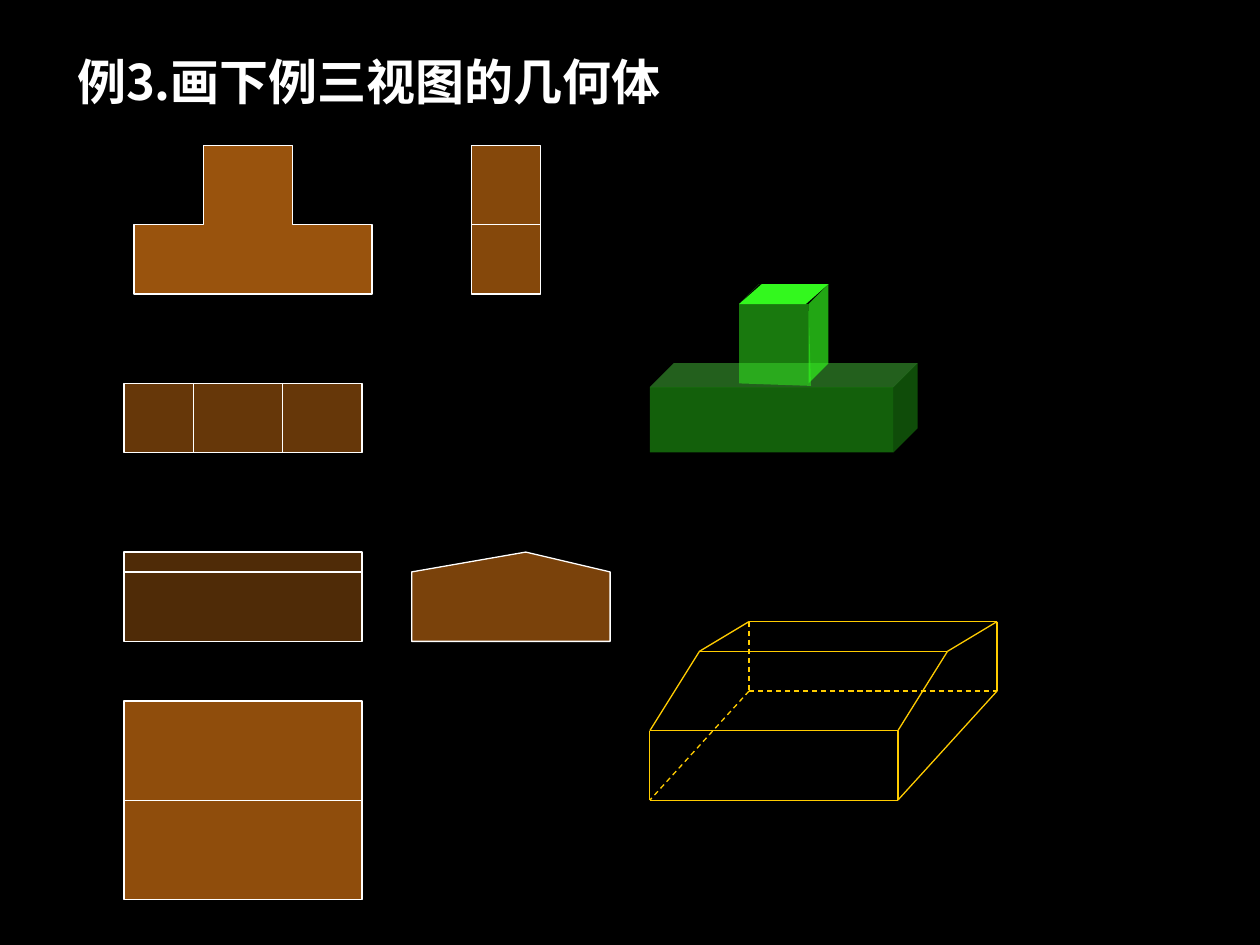
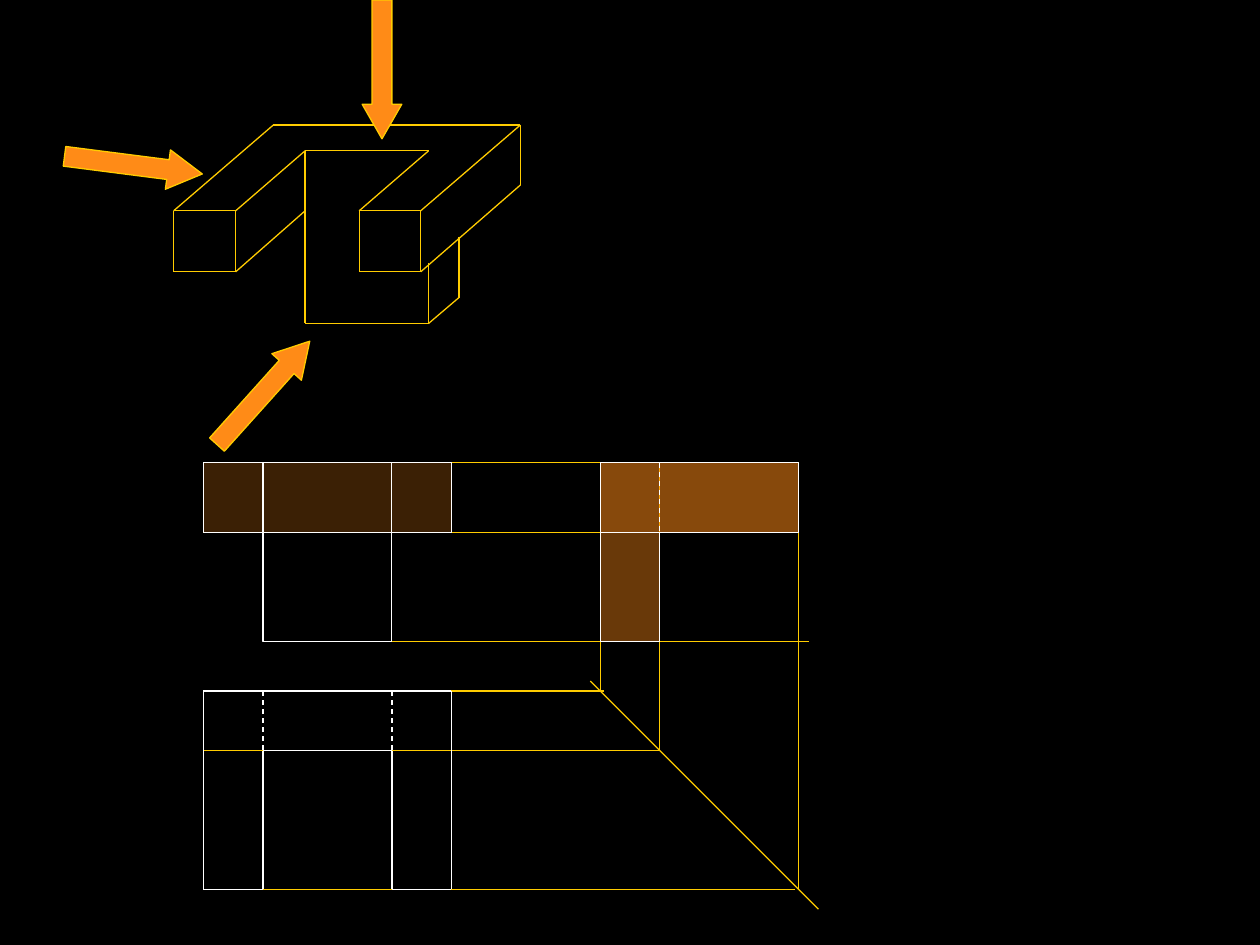
from dataclasses import dataclass

from lxml import etree
from pptx import Presentation
from pptx import util as u
from pptx.dml.color import RGBColor
from pptx.enum import dml, shapes, text
from pptx.oxml.ns import qn


@dataclass(frozen=True)
class Theme:
    background: str = "000000"
    white: str = "FFFFFF"
    yellow: str = "FFCC00"
    orange: str = "FF8B17"
    green: str = "33F81E"
    font: str = "Noto Sans CJK SC"
    title_size: int = 28
    line_width: float = 0.75


THEME = Theme()
RECTANGLE = shapes.MSO_SHAPE.RECTANGLE

# All coordinates are centimetres: boxes (left, top, width, height),
# lines (x1, y1, x2, y2), outlines [(x, y), ...].
TITLE = "例3.画下例三视图的几何体"
TITLE_BOX = (1.3, 0.91, 12.8, 1.45)

# Views made of one rectangle: box, opacity in percent, inner lines.
TOP_VIEW_T = ((2.5, 7.73, 4.8, 1.4), 40,
              [(3.9, 7.73, 3.9, 9.13), (5.7, 7.73, 5.7, 9.13)])
SIDE_VIEW_T = ((9.5, 2.93, 1.4, 3), 52, [(9.5, 4.53, 10.9, 4.53)])
FRONT_VIEW_ROOF = ((2.5, 11.13, 4.8, 1.8), 31, [(2.5, 11.53, 7.3, 11.53)])
TOP_VIEW_ROOF = ((2.5, 14.13, 4.8, 4), 56, [(2.5, 16.13, 7.3, 16.13)])

FRONT_VIEW_T = [(4.1, 4.53), (2.7, 4.53), (2.7, 5.93), (7.5, 5.93),
                (7.5, 4.53), (5.9, 4.53), (5.9, 2.93), (4.1, 2.93)]
SIDE_VIEW_ROOF = [(10.6, 11.13), (8.3, 11.53), (8.3, 12.93),
                  (12.3, 12.93), (12.3, 11.53)]

BASE_BLOCK = (13.1, 7.32, 5.4, 1.8)
UPPER_LID = (14.9, 5.73, 1.8, 0.4)
UPPER_TOP_AND_SIDE = [(14.9, 6.13), (15.3, 5.73), (16.7, 5.73), (16.3, 6.13),
                      (16.3, 7.73), (16.7, 7.33), (16.7, 5.73), (15.3, 5.73)]
UPPER_FRONT = [(16.3, 6.13), (14.9, 6.13), (14.9, 7.73), (16.35, 7.78)]

# Left end of the roof-shaped solid; it is extruded to the right.
ROOF_PROFILE = [(13.1, 16.13), (13.1, 14.73), (14.1, 13.13),
                (15.1, 12.53), (15.1, 13.93)]
ROOF_LENGTH = 5
HIDDEN_CORNER = 4

SOLID_EDGES = [
    (5.51, 2.52, 10.49, 2.52), (5.51, 2.52, 3.5, 4.25),
    (10.49, 2.52, 8.48, 4.25), (6.15, 3.04, 4.75, 4.25),
    (3.5, 4.25, 4.75, 4.25), (7.24, 4.25, 8.48, 4.25),
    (8.64, 3.04, 7.24, 4.25), (6.15, 3.04, 8.64, 3.04),
    (3.5, 4.25, 3.5, 5.48), (4.75, 4.25, 4.75, 5.48),
    (7.24, 4.25, 7.24, 5.48), (8.48, 4.25, 8.48, 5.48),
    (10.49, 2.52, 10.49, 3.73), (3.5, 5.48, 4.75, 5.48),
    (7.24, 5.48, 8.48, 5.48), (10.49, 3.73, 8.48, 5.48),
    (6.15, 4.25, 4.75, 5.48), (6.15, 3.04, 6.15, 6.52),
    (8.64, 5.3, 8.64, 6.52), (9.25, 4.77, 9.25, 6),
    (6.15, 6.52, 8.64, 6.52), (9.25, 6, 8.64, 6.52),
]

# Viewing arrows: centre x, centre y, rotation.
VIEW_ARROWS = [(5.31, 7.92, 311.9), (2.69, 3.33, 7.3), (7.7, 1.4, 90)]
ARROW_SIZE = (2.8, 0.8)

# Grid shared by the three projections.
X1, X2, X3, X4 = 4.1, 5.3, 7.9, 9.1
SIDE_X1, SIDE_X2, SIDE_X3 = 12.1, 13.3, 16.1
FRONT_TOP, FRONT_MIDDLE, FRONT_BOTTOM = 9.33, 10.73, 12.93
PLAN_TOP, PLAN_MIDDLE, PLAN_BOTTOM = 13.93, 15.13, 17.93

PLAN_GUIDES = [(X1, PLAN_BOTTOM, 16.02, PLAN_BOTTOM),
               (X1, PLAN_MIDDLE, SIDE_X2, PLAN_MIDDLE),
               (4.3, PLAN_TOP, 12.17, PLAN_TOP)]
PLAN_EDGES = [(X1, PLAN_TOP, X4, PLAN_TOP),
              (X1, PLAN_BOTTOM, X2, PLAN_BOTTOM),
              (X3, PLAN_BOTTOM, X4, PLAN_BOTTOM),
              (X2, PLAN_MIDDLE, X3, PLAN_MIDDLE),
              (X1, PLAN_TOP, X1, PLAN_BOTTOM),
              (X4, PLAN_TOP, X4, PLAN_BOTTOM),
              (X2, PLAN_MIDDLE, X2, PLAN_BOTTOM),
              (X3, PLAN_MIDDLE, X3, PLAN_BOTTOM)]
PLAN_HIDDEN = [(x, PLAN_TOP, x, PLAN_MIDDLE) for x in (X2, X3)]
FRONT_GUIDES = [(X1, FRONT_TOP, SIDE_X3, FRONT_TOP),
                (X1, FRONT_MIDDLE, SIDE_X3, FRONT_MIDDLE),
                (X2, FRONT_BOTTOM, 16.3, FRONT_BOTTOM)]
MITRE_LINE = [(11.9, 13.73, 16.5, 18.33)]
SIDE_GUIDES = [(SIDE_X1, PLAN_TOP, SIDE_X1, FRONT_TOP),
               (SIDE_X2, PLAN_MIDDLE, SIDE_X2, FRONT_TOP),
               (SIDE_X3, PLAN_BOTTOM, SIDE_X3, FRONT_TOP)]
SIDE_BAR = (SIDE_X1, FRONT_TOP, SIDE_X3 - SIDE_X1, FRONT_MIDDLE - FRONT_TOP)
SIDE_LEG = (SIDE_X1, FRONT_MIDDLE, SIDE_X2 - SIDE_X1,
            FRONT_BOTTOM - FRONT_MIDDLE)
SIDE_HIDDEN = [(SIDE_X2, FRONT_TOP, SIDE_X2, FRONT_MIDDLE)]
FRONT_BAR = (X1, FRONT_TOP, X4 - X1, FRONT_MIDDLE - FRONT_TOP)
FRONT_LEG = [(X2, FRONT_TOP), (X2, FRONT_BOTTOM),
             (X3, FRONT_BOTTOM), (X3, FRONT_TOP)]


def lengths(values):
    return [u.Cm(value) for value in values]


def style(shape, fill=None, opacity=100, line=None):
    shape.shadow.inherit = False
    if fill:
        shape.fill.solid()
        shape.fill.fore_color.rgb = RGBColor.from_string(fill)
        if opacity < 100:
            color = shape.fill._xPr.find(qn("a:solidFill"))[0]
            alpha = etree.SubElement(color, qn("a:alpha"))
            alpha.set("val", str(opacity * 1000))
    else:
        shape.fill.background()
    if line:
        style_line(shape.line, line)
    else:
        shape.line.fill.background()


def style_line(line, color):
    line.color.rgb = RGBColor.from_string(color)
    line.width = u.Pt(THEME.line_width)


def add_preset(parent, kind, box, adjustments=(), **look):
    shape = parent.shapes.add_shape(kind, *lengths(box))
    for index, value in enumerate(adjustments):
        shape.adjustments[index] = value
    style(shape, **look)
    return shape


def add_outline(parent, points, close=True, **look):
    start, *others = [tuple(lengths(point)) for point in points]
    builder = parent.shapes.build_freeform(*start)
    builder.add_line_segments(others, close=close)
    style(builder.convert_to_shape(), **look)


def add_lines(parent, lines, color, dashed=False):
    for ends in lines:
        connector = parent.shapes.add_connector(
            shapes.MSO_CONNECTOR.STRAIGHT, *lengths(ends))
        style_line(connector.line, color)
        if dashed:
            connector.line.dash_style = dml.MSO_LINE.DASH
        etree.SubElement(connector._element.spPr, qn("a:effectLst"))


def add_group(slide):
    return slide.shapes.add_group_shape()


def add_view(slide, box, opacity, inner_lines):
    group = add_group(slide)
    add_preset(group, RECTANGLE, box, fill=THEME.orange, opacity=opacity,
               line=THEME.white)
    add_lines(group, inner_lines, THEME.white)


def add_green_solid(slide):
    group = add_group(slide)
    add_preset(group, shapes.MSO_SHAPE.CUBE, BASE_BLOCK, [0.269],
               fill=THEME.green, opacity=39)
    add_outline(group, UPPER_TOP_AND_SIDE, fill=THEME.green, opacity=67)
    add_outline(group, UPPER_FRONT, fill=THEME.green, opacity=49)
    add_preset(group, shapes.MSO_SHAPE.PARALLELOGRAM, UPPER_LID, [1.135],
               fill=THEME.green)


def add_roof_wireframe(slide):
    """Extrude the profile; left edges meeting the hidden corner are dashed."""
    visible, hidden = [], []
    for index, (x, y) in enumerate(ROOF_PROFILE):
        following = (index + 1) % len(ROOF_PROFILE)
        next_x, next_y = ROOF_PROFILE[following]
        left_edge = (x, y, next_x, next_y)
        long_edge = (x, y, x + ROOF_LENGTH, y)
        (hidden if HIDDEN_CORNER in (index, following)
         else visible).append(left_edge)
        (hidden if index == HIDDEN_CORNER else visible).append(long_edge)
        visible.append((x + ROOF_LENGTH, y, next_x + ROOF_LENGTH, next_y))
    group = add_group(slide)
    add_lines(group, visible, THEME.yellow)
    add_lines(group, hidden, THEME.yellow, dashed=True)


def set_title(slide):
    title = slide.shapes.title
    title.left, title.top, title.width, title.height = lengths(TITLE_BOX)
    frame = title.text_frame
    frame.auto_size = text.MSO_AUTO_SIZE.NONE
    frame.word_wrap = False
    frame.vertical_anchor = text.MSO_ANCHOR.MIDDLE
    frame.margin_top = frame.margin_bottom = 0
    paragraph = frame.paragraphs[0]
    paragraph.alignment = text.PP_ALIGN.LEFT
    run = paragraph.add_run()
    run.text = TITLE
    font = run.font
    font.name, font.size, font.bold = THEME.font, u.Pt(THEME.title_size), True
    font.color.rgb = RGBColor.from_string(THEME.white)
    east_asian = etree.SubElement(font._element, qn("a:ea"))
    east_asian.set("typeface", THEME.font)


def build_exercise_slide(presentation):
    slide = presentation.slides.add_slide(presentation.slide_layouts[5])
    set_title(slide)
    for view in (TOP_VIEW_T, SIDE_VIEW_T, FRONT_VIEW_ROOF, TOP_VIEW_ROOF):
        add_view(slide, *view)
    for points, opacity in ((FRONT_VIEW_T, 60), (SIDE_VIEW_ROOF, 48)):
        add_outline(slide, points, fill=THEME.orange, opacity=opacity,
                    line=THEME.white)
    add_green_solid(slide)
    add_roof_wireframe(slide)


def build_projection_slide(presentation):
    slide = presentation.slides.add_slide(presentation.slide_layouts[6])
    for lines in (PLAN_GUIDES, SOLID_EDGES):
        add_lines(add_group(slide), lines, THEME.yellow)

    width, height = ARROW_SIZE
    for x, y, rotation in VIEW_ARROWS:
        arrow = add_preset(slide, shapes.MSO_SHAPE.RIGHT_ARROW,
                           (x - width / 2, y - height / 2, width, height),
                           [0.5, 0.872], fill=THEME.orange, line=THEME.yellow)
        arrow.rotation = rotation

    plan = add_group(slide)
    add_lines(plan, PLAN_EDGES, THEME.white)
    add_lines(plan, PLAN_HIDDEN, THEME.white, dashed=True)

    add_lines(add_group(slide), FRONT_GUIDES, THEME.yellow)
    add_lines(slide, MITRE_LINE, THEME.yellow)
    add_lines(add_group(slide), SIDE_GUIDES, THEME.yellow)

    side = add_group(slide)
    for box, opacity in ((SIDE_BAR, 53), (SIDE_LEG, 41)):
        add_preset(side, RECTANGLE, box, fill=THEME.orange, opacity=opacity,
                   line=THEME.white)
    add_lines(side, SIDE_HIDDEN, THEME.white, dashed=True)

    front = add_group(slide)
    add_preset(front, RECTANGLE, FRONT_BAR, fill=THEME.orange, opacity=23,
               line=THEME.white)
    add_outline(front, FRONT_LEG, close=False, line=THEME.white)


def main():
    presentation = Presentation()
    presentation.slide_width, presentation.slide_height = lengths((25.4, 19.05))
    background = presentation.slide_master.background.fill
    background.solid()
    background.fore_color.rgb = RGBColor.from_string(THEME.background)
    build_exercise_slide(presentation)
    build_projection_slide(presentation)
    presentation.save("out.pptx")


if __name__ == "__main__":
    main()
